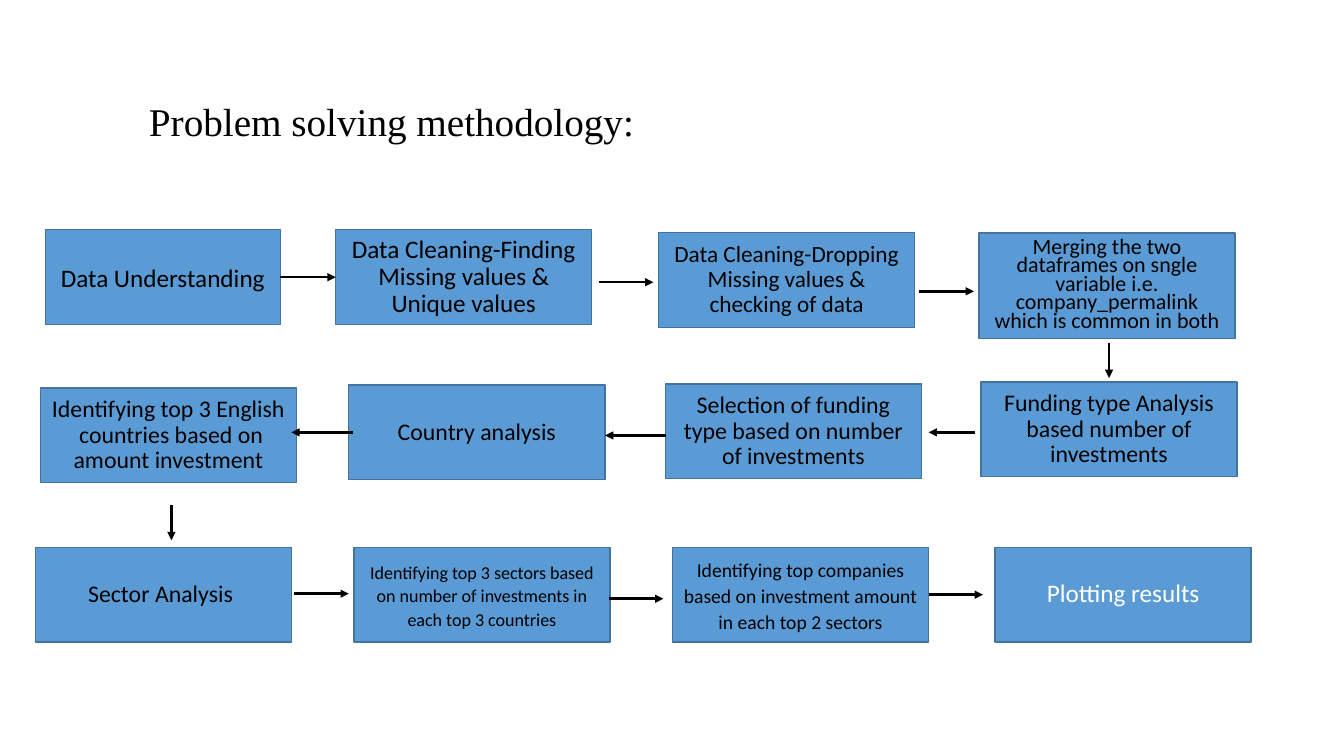
from dataclasses import dataclass

from pptx import Presentation
from pptx.dml.color import RGBColor
from pptx.enum import shapes, text
from pptx.oxml.ns import qn
from pptx.util import Inches, Pt


@dataclass(frozen=True)
class Theme:
    box_fill: RGBColor = RGBColor(0x5B, 0x9B, 0xD5)
    box_line: RGBColor = RGBColor(0x43, 0x73, 0x9E)
    dark: RGBColor = RGBColor(0, 0, 0)
    light: RGBColor = RGBColor(255, 255, 255)
    title_font: str = "Times New Roman"
    body_font: str = "Calibri"
    title_lead: float = 40
    title: float = 28
    large: float = 18
    body: float = 17
    medium: float = 16.6
    dense: float = 15.7
    small: float = 14
    tiny: float = 12.9


THEME = Theme()
BOX_W, BOX_H = 2.54, 0.94
ROW_3 = 5.43
RIGHT, LEFT = 3, 1

# Steps in reading order: key, text, left, top, then differences from the usual box
STEPS = [
    ("understand", "Data Understanding", 0.45, 2.28,
     dict(width=2.33, size=THEME.large, spacing=1.0, before=0)),
    ("missing", "Data Cleaning-Finding Missing values & Unique values", 3.33, 2.28,
     dict(size=THEME.large)),
    ("dropping", "Data Cleaning-Dropping Missing values & checking of data", 6.53, 2.31,
     dict(size=THEME.medium)),
    ("merge", "Merging the two dataframes on sngle variable i.e. company_permalink "
     "which is common in both", 9.71, 2.31,
     dict(height=1.05, size=THEME.dense, spacing=0.7)),
    ("funding", "Funding type Analysis based number of investments", 9.73, 3.79, {}),
    ("selection", "Selection of funding type based on number of investments", 6.6, 3.81, {}),
    ("country", "Country analysis", 3.46, 3.82, {}),
    ("english", "Identifying top 3 English  countries based on amount investment",
     0.4, 3.85, {}),
    ("sector", "Sector Analysis ", 0.35, ROW_3, {}),
    ("top_sectors", "Identifying top 3 sectors based on number of investments in each "
     "top 3 countries", 3.51, ROW_3, dict(size=THEME.tiny, spacing=1.1)),
    ("companies", "Identifying top companies based on investment amount in each "
     "top 2 sectors", 6.67, ROW_3, dict(size=THEME.small, spacing=1.1)),
    ("plotting", "Plotting results", 9.87, ROW_3,
     dict(size=THEME.large, color=THEME.light)),
]

# Arrows: start x, y, end x, y, then joins to steps
ARROWS = [
    (2.78, 2.75, 3.33, 2.75, dict(begin=("understand", RIGHT), end=("missing", LEFT))),
    (5.94, 2.8, 6.48, 2.8, {}),
    (9.12, 2.89, 9.66, 2.89, {}),
    (11, 3.4, 11, 3.75, {}),
    (9.67, 4.29, 9.21, 4.29, {}),
    (6.61, 4.32, 6, 4.32, {}),
    (3.5, 4.29, 2.89, 4.29, {}),
    (1.7, 5.01, 1.7, 5.36, {}),
    (2.92, 5.89, 3.46, 5.89, {}),
    (6.04, 5.94, 6.58, 5.94, {}),
    (9.21, 5.9, 9.75, 5.9, dict(begin=("companies", RIGHT))),
]


def format_run(r, font, size, color, bold=False):
    r.font.name = font
    r.font.size = Pt(size)
    r.font.color.rgb = color
    r.font.bold = bold


def add_title(s, words):
    sp = s.shapes.add_textbox(Inches(1.24), Inches(0.7), Inches(10.19), Inches(0.94))
    tf = sp.text_frame
    tf.word_wrap = True
    tf.vertical_anchor = text.MSO_ANCHOR.MIDDLE
    p = tf.paragraphs[0]
    p.line_spacing = 0.9
    # The bold leading space sets the line height
    for part, size, bold in ((" ", THEME.title_lead, True), (words, THEME.title, False)):
        r = p.add_run()
        r.text = part
        format_run(r, THEME.title_font, size, THEME.dark, bold)


def add_step(s, words, left, top, width=BOX_W, height=BOX_H, size=THEME.body,
             spacing=0.9, before=10, color=THEME.dark):
    sp = s.shapes.add_shape(shapes.MSO_SHAPE.RECTANGLE, Inches(left), Inches(top),
                            Inches(width), Inches(height))
    sp.shadow.inherit = False
    sp.fill.solid()
    sp.fill.fore_color.rgb = THEME.box_fill
    sp.line.color.rgb = THEME.box_line
    sp.line.width = Pt(1)
    tf = sp.text_frame
    tf.word_wrap = True
    tf.vertical_anchor = text.MSO_ANCHOR.MIDDLE
    tf.text = words
    p = tf.paragraphs[0]
    p.alignment = text.PP_ALIGN.CENTER
    p.line_spacing = spacing
    p.space_before = Pt(before)
    format_run(p.runs[0], THEME.body_font, size, color)
    return sp


def add_arrow(s, boxes, x1, y1, x2, y2, begin=None, end=None):
    c = s.shapes.add_connector(shapes.MSO_CONNECTOR.STRAIGHT, Inches(x1), Inches(y1),
                               Inches(x2), Inches(y2))
    if begin:
        c.begin_connect(boxes[begin[0]], begin[1])
    if end:
        c.end_connect(boxes[end[0]], end[1])
    c.line.color.rgb = THEME.dark
    c.line.width = Pt(1.75)
    ln = c.line._get_or_add_ln()
    tail = ln.makeelement(qn("a:tailEnd"), {"type": "triangle"})
    ln.append(tail)
    sp_pr = c._element.spPr
    sp_pr.append(sp_pr.makeelement(qn("a:effectLst"), {}))


def main():
    prs = Presentation()
    prs.slide_width, prs.slide_height = Inches(13.33), Inches(7.5)
    s = prs.slides.add_slide(prs.slide_layouts[6])

    # Heading
    add_title(s, "Problem solving methodology:")

    # Flow of steps
    boxes = {key: add_step(s, words, left, top, **style)
             for key, words, left, top, style in STEPS}

    # Arrows between steps
    for x1, y1, x2, y2, joins in ARROWS:
        add_arrow(s, boxes, x1, y1, x2, y2, **joins)

    prs.save("out.pptx")


if __name__ == "__main__":
    main()
